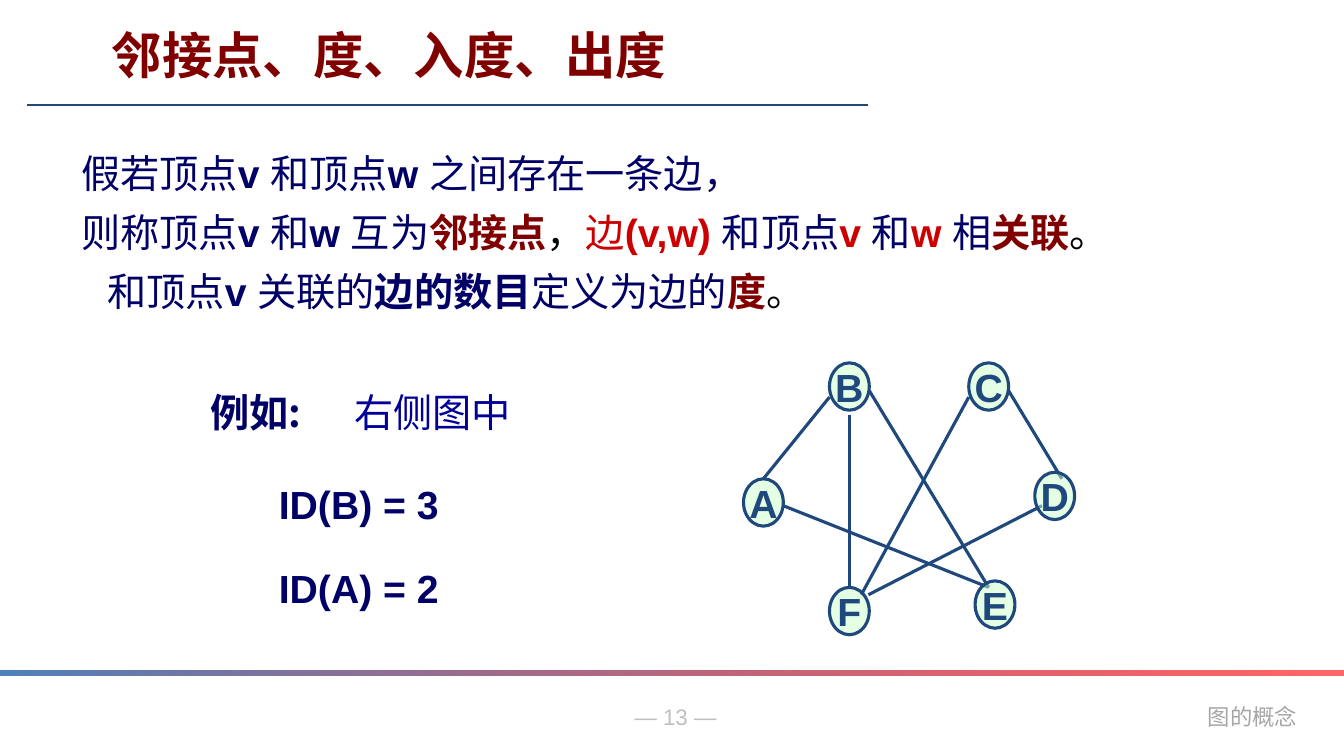
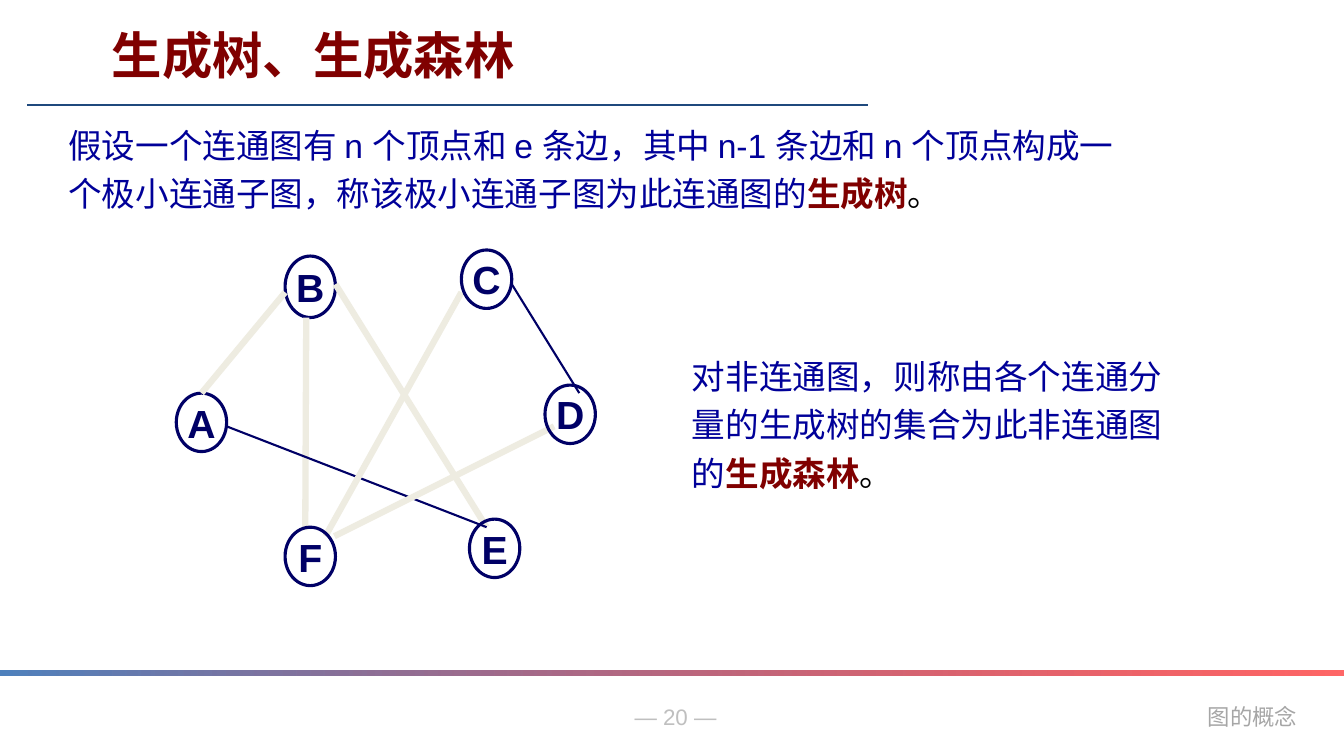
from lxml import etree
from pptx import Presentation
from pptx import util as u
from pptx.dml.color import RGBColor
from pptx.enum import shapes, text
from pptx.oxml.ns import qn

COLORS = {
    "maroon": "800000", "navy": "000066", "blue": "000099", "red": "CC0000",
    "black": "000000", "steel": "1F497D", "sky": "4F81BD", "signal": "FF0000",
    "mint": "CCFFCC", "cream": "EEECE1", "page": "BFBFBF", "topic": "A6A6A6",
}
LATIN, HAN, MONO = "Arial", "Noto Sans CJK SC", "Noto Sans Mono"

NODE_SIZE = (0.5, 0.58)
NODES = {
    "A": (0, 0), "C": (2.83, -1.42), "D": (3.66, -0.08),
    "F": (1.08, 1.33), "E": (2.91, 1.25), "B": (1.08, -1.42),
}
EDGES = {
    "AB": ((1.08, -1), (0.25, 0)),
    "BE": ((1.58, -1.08), (3.08, 1.33)),
    "AE": ((0.5, 0.33), (3.08, 1.33)),
    "CF": ((2.83, -1), (1.48, 1.42)),
    "CD": ((3.33, -1.08), (4, 0)),
    "DF": ((3.75, 0.33), (1.57, 1.42)),
}


def rgb(color):
    return RGBColor.from_string(COLORS[color])


def set_opacity(shape, percent):
    last_color = list(shape.element.iter(qn("a:srgbClr")))[-1]
    etree.SubElement(last_color, qn("a:alpha"), val=str(percent * 1000))


def style_paragraph(paragraph, size, color, face=LATIN, bold=False):
    font = paragraph.font
    font.size, font.bold, font.name = u.Pt(size), bold, face
    font.color.rgb = rgb(color)
    defaults = paragraph._p.pPr.find(qn("a:defRPr"))
    etree.SubElement(defaults, qn("a:ea"), typeface=HAN)


def fill_paragraph(paragraph, spans, face):
    for span in spans:
        words, color, bold = (span, None, None) if isinstance(span, str) else span
        run = paragraph.add_run()
        run.text = words
        if color:
            run.font.color.rgb = rgb(color)
        if bold is not None:
            run.font.bold = bold
        if face == HAN and words.isascii():
            run.font.name = LATIN


def add_text(slide, box, paragraphs, size, color, face=LATIN, bold=False,
             spacing=None, wrap=True, align=None):
    frame = slide.shapes.add_textbox(*map(u.Inches, box)).text_frame
    frame.word_wrap = wrap
    frame.auto_size = text.MSO_AUTO_SIZE.SHAPE_TO_FIT_TEXT
    for index, spans in enumerate(paragraphs):
        paragraph = frame.add_paragraph() if index else frame.paragraphs[0]
        paragraph.line_spacing = spacing
        paragraph.alignment = align
        style_paragraph(paragraph, size, color, face, bold)
        fill_paragraph(paragraph, spans, face)
    return frame


def add_line(slide, start, end, color, width):
    line = slide.shapes.add_connector(
        shapes.MSO_CONNECTOR.STRAIGHT, *map(u.Inches, (*start, *end)))
    line.line.color.rgb = rgb(color)
    line.line.width = u.Pt(width)
    etree.SubElement(line._element.spPr, qn("a:effectLst"))


def add_node(slide, box, letter, color, fill):
    node = slide.shapes.add_shape(shapes.MSO_SHAPE.OVAL, *map(u.Inches, box))
    node.shadow.inherit = False
    if fill:
        node.fill.solid()
        node.fill.fore_color.rgb = rgb(fill)
        set_opacity(node, 50)
    else:
        node.fill.background()
    node.line.color.rgb = rgb(color)
    node.line.width = u.Pt(2.25)
    frame = node.text_frame
    frame.word_wrap = False
    frame.margin_left = frame.margin_right = frame.margin_top = frame.margin_bottom = 0
    frame.vertical_anchor = text.MSO_ANCHOR.MIDDLE
    label = frame.paragraphs[0]
    label.text = letter
    label.alignment = text.PP_ALIGN.CENTER
    style_paragraph(label, 28, color, bold=True)


def add_graph(slide, origin, scale, color, edges, edge_style, behind, fill=None,
              moved=None, sizes=None):
    def place(point):
        return [o + p * s for o, p, s in zip(origin, point, scale)]

    def draw_nodes(letters):
        for letter in letters:
            size = (sizes or {}).get(letter, NODE_SIZE)
            extent = [length * s for length, s in zip(size, scale)]
            add_node(slide, (*place(nodes[letter]), *extent), letter, color, fill)

    nodes = NODES | (moved or {})
    draw_nodes(behind)
    for name, (start, end) in edges.items():
        add_line(slide, place(start), place(end), *edge_style(name))
    draw_nodes(letter for letter in nodes if letter not in behind)


def add_frame(prs, title, number):
    slide = prs.slides.add_slide(prs.slide_layouts[6])
    add_text(slide, (6.12, 6.93, 1.17, 0.37), [[f"— {number} —"]], 16, "page",
             wrap=False, align=text.PP_ALIGN.CENTER)
    add_text(slide, (11.89, 6.93, 1.1, 0.37), [["图的概念"]], 16, "topic", MONO, wrap=False)
    add_line(slide, (0.27, 1.04), (8.62, 1.04), "steel", 1)
    band = slide.shapes.add_shape(
        shapes.MSO_SHAPE.RECTANGLE, 0, u.Inches(6.65), prs.slide_width, u.Inches(0.05))
    band.shadow.inherit = False
    band.fill.gradient()
    band.fill.gradient_angle = 0
    for stop, color in zip(band.fill.gradient_stops, ("sky", "signal")):
        stop.color.rgb = rgb(color)
    set_opacity(band, 60)
    band.line.fill.background()
    add_text(slide, (1.01, 0.19, 7.09, 0.71), [[title]], 36, "maroon", bold=True)
    return slide


def build_degree(prs):
    slide = add_frame(prs, "邻接点、度、入度、出度", 13)
    v, w = ("v ", None, True), ("w ", None, True)
    red_v, red_w = ("v ", "red", True), ("w ", "red", True)
    stop = ("。", "black", False)
    definition = add_text(slide, (0.71, 1.32, 11.35, 1.81), [
        ["假若顶点", v, "和顶点", w, "之间存在一条边，"],
        ["则称顶点", v, "和", w, "互为", ("邻接点", "maroon", True), ("，", "black", False),
         ("边", "red", False), ("(v,w) ", "red", True), "和顶点", red_v, "和", red_w,
         "相", ("关联", "maroon", True), stop],
        ["和顶点", v, "关联的", ("边的数目", None, True), "定义为边的",
         ("度", "maroon", True), stop],
    ], 28, "navy", HAN, spacing=1.25)
    definition.paragraphs[2]._p.pPr.set("indent", str(u.Inches(0.26)))

    add_text(slide, (1.99, 3.8, 1.46, 0.57), [["例如:"]], 28, "navy", HAN, bold=True)
    add_text(slide, (3.42, 3.8, 2.42, 0.57), [["右侧图中"]], 28, "blue")
    for top, degree in ((4.72, "ID(B) = 3"), (5.55, "ID(A) = 2")):
        add_text(slide, (2.67, top, 2.5, 0.57), [[degree]], 28, "navy", bold=True)

    edges = EDGES | {"BF": ((1.33, -0.78), (1.33, 1.32))}
    add_graph(slide, (7.38, 4.75), (0.79, 0.81), "steel", edges,
              lambda name: ("steel", 2.25), behind="A", fill="mint")


def build_spanning_tree(prs):
    slide = add_frame(prs, "生成树、生成森林", 20)
    stop = ("。", "black", False)
    add_text(slide, (0.58, 1.11, 10.84, 1.03), [[
        "假设一个连通图有 ", "n ", "个顶点和 ", "e ", "条边，其中 ", "n-1 ", "条边和 ", "n ",
        "个顶点构成一个极小连通子图，称该极小连通子图为此连通图的",
        ("生成树", "maroon", True), stop,
    ]], 24, "blue", HAN, spacing=1.2)
    add_text(slide, (6.77, 3.4, 5.12, 1.51), [[
        "对非连通图，则称由各个连通分量的生成树的集合为此非连通图的",
        ("生成森林", "maroon", True), stop,
    ]], 24, "blue", spacing=1.2)

    edges = {"BF": ((1.29, -0.75), (1.28, 1.36))} | EDGES
    add_graph(slide, (1.75, 3.9), (1, 1), "navy", edges,
              lambda name: ("navy", 1.5) if name in ("AE", "CD") else ("cream", 4.5),
              behind="BA", moved={"B": (1.08, -1.36)}, sizes={"B": (0.5, 0.61)})


def main():
    prs = Presentation()
    prs.slide_width, prs.slide_height = u.Inches(13.34), u.Inches(7.5)
    build_degree(prs)
    build_spanning_tree(prs)
    prs.save("out.pptx")


if __name__ == "__main__":
    main()
